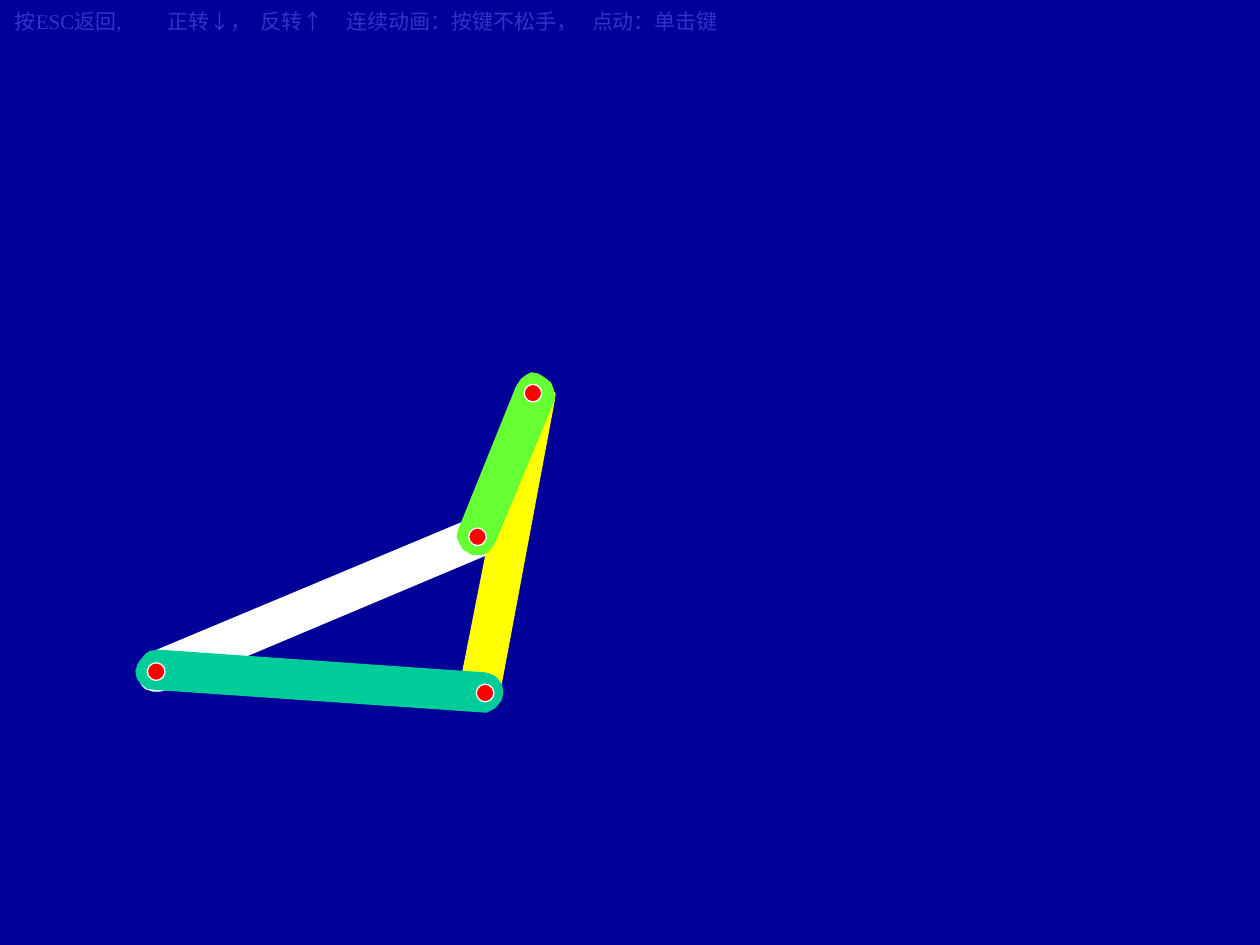
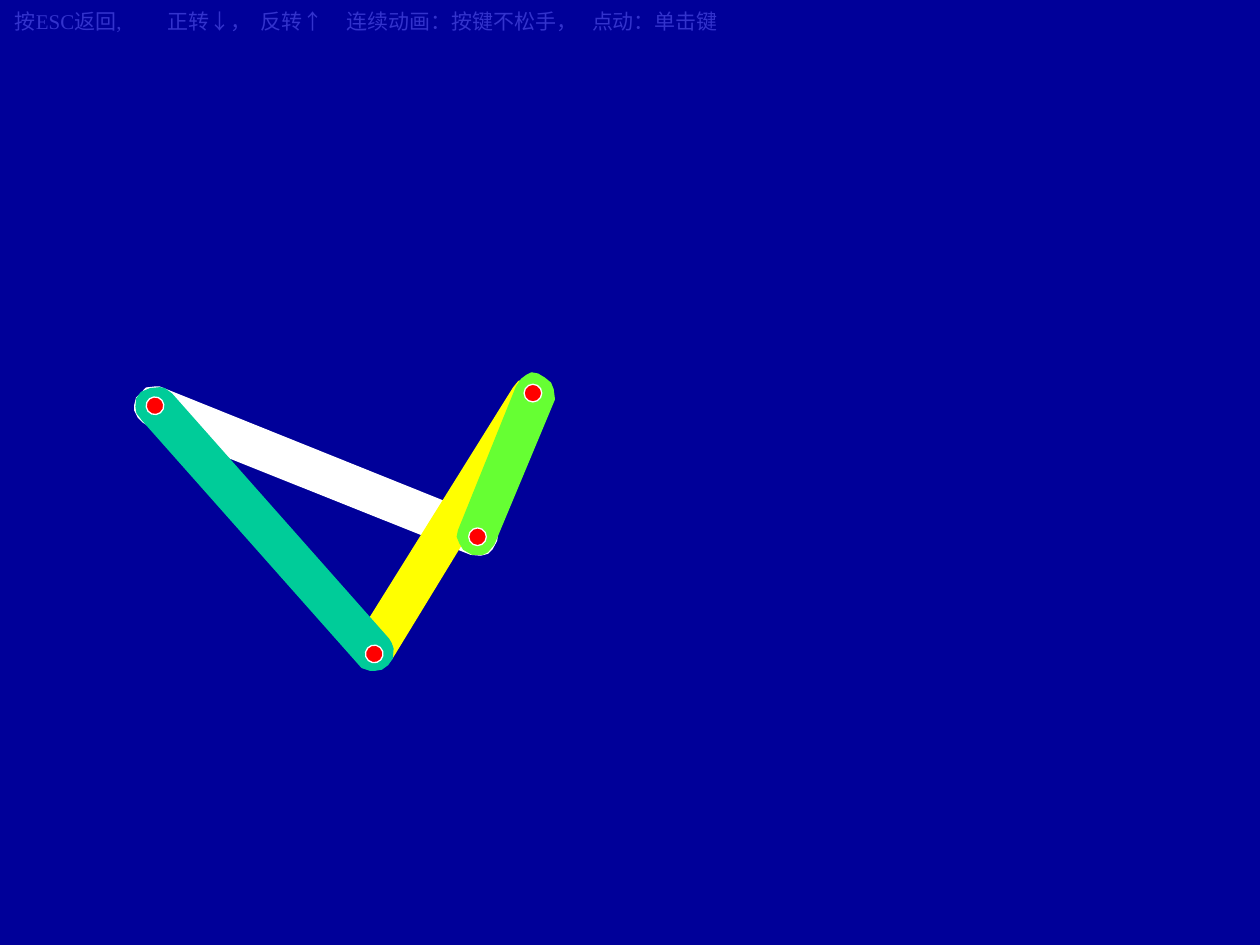
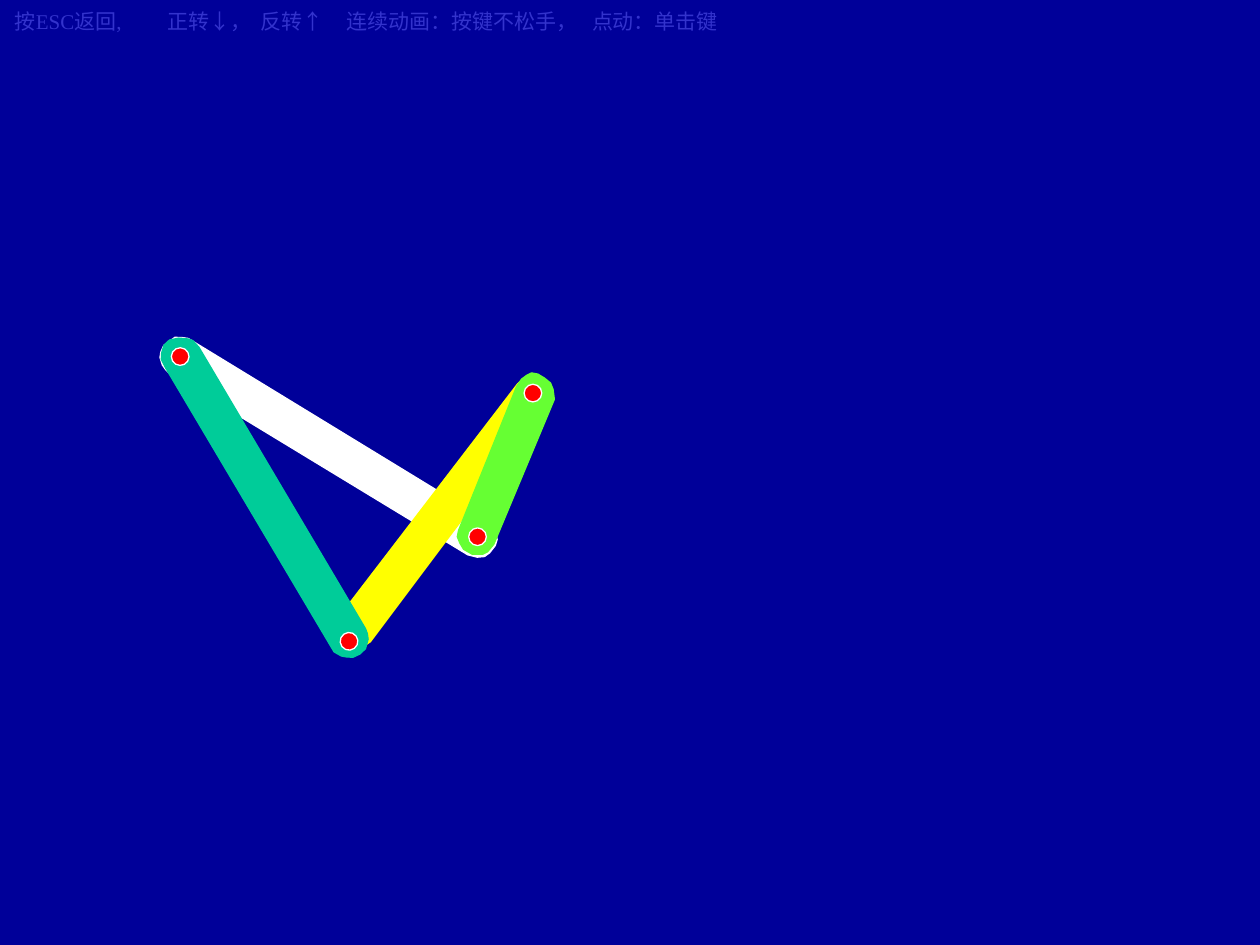
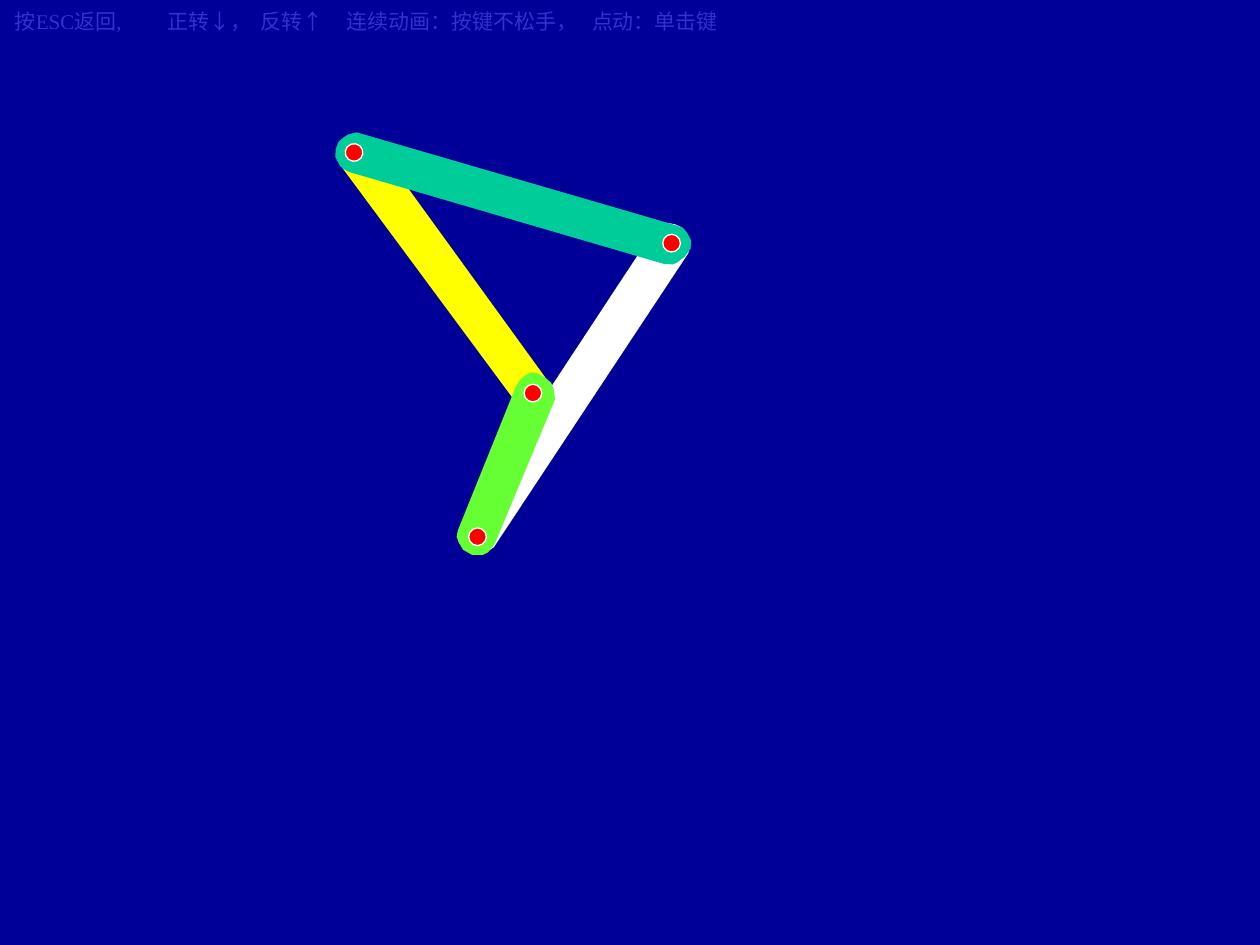
import math
from lxml import etree
from pptx import Presentation
from pptx import util as u
from pptx.dml.color import RGBColor
from pptx.enum import shapes, text
from pptx.oxml.ns import qn

COLORS = {"back": "000099", "hint": "3333CC", "pin": "FF0000", "rim": "FFFFFF",
          "rocker": "FFFFFF", "crank": "FFFF00", "coupler": "00CC99", "frame": "66FF33"}
INCH = 2.54  # cm; the mechanism is laid out on an inch grid
PIN = 0.14
HINT = "按ESC返回,\t正转↓，\t反转↑\t连续动画：按键不松手，\t点动：单击键"
HINT_TABS = [1.21, 1.95, 2.63, 4.58]

# Link outlines as they lie in the first pose
OUTLINES = {
    "rocker": [(3.85, 4.4), (1.31, 5.47), (1.26, 5.48), (1.21, 5.48), (1.15, 5.46), (1.12, 5.43),
               (1.09, 5.38), (1.09, 5.32), (1.09, 5.27), (1.13, 5.22), (1.16, 5.19), (3.74, 4.11),
               (3.83, 4.11), (3.89, 4.14), (3.92, 4.18), (3.94, 4.25), (3.94, 4.3), (3.91, 4.35)],
    "crank": [(4.4, 3.19), (3.97, 5.49), (3.93, 5.56), (3.89, 5.58), (3.82, 5.6), (3.77, 5.6),
              (3.71, 5.56), (3.67, 5.49), (3.66, 5.42), (4.11, 3.14), (4.13, 3.08), (4.17, 3.05),
              (4.22, 3.02), (4.3, 3.02), (4.36, 3.06), (4.41, 3.12)],
    "coupler": [(1.26, 5.16), (3.85, 5.34), (3.89, 5.35), (3.93, 5.37), (3.98, 5.43), (3.99, 5.49),
                (3.98, 5.55), (3.95, 5.59), (3.92, 5.62), (3.86, 5.65), (1.24, 5.47), (1.17, 5.46),
                (1.13, 5.43), (1.09, 5.38), (1.08, 5.32), (1.11, 5.25), (1.16, 5.19), (1.19, 5.17)],
    "frame": [(3.64, 4.21), (4.1, 3.07), (4.14, 3.01), (4.18, 2.98), (4.22, 2.96), (4.27, 2.97),
              (4.32, 3), (4.37, 3.04), (4.39, 3.09), (4.4, 3.17), (3.92, 4.32), (3.87, 4.38),
              (3.83, 4.4), (3.75, 4.4), (3.68, 4.36), (3.65, 4.31), (3.63, 4.26)],
}

# One pose per slide: left, top and angle of each link, then the two moving pins
POSES = [
    {"rocker": (0.98, 4.64, 157.2), "crank": (2.88, 3.57, 131.5), "coupler": (1.86, 4.07, 117.6),
     "pins": [(3.78, 5.43), (1.17, 5.26)]},
    {"rocker": (0.97, 3.58, 201.8), "crank": (2.44, 3.4, 152.3), "coupler": (1.42, 2.86, 162.1),
     "pins": [(2.9, 5.12), (1.16, 3.15)]},
    {"rocker": (1.07, 3.39, 211.3), "crank": (2.37, 3.32, 157.8), "coupler": (1.42, 2.61, 173),
     "pins": [(2.7, 5.02), (1.36, 2.76)]},
    {"rocker": (3.02, 2.93, 303.4), "crank": (2.37, 1.41, 264.4), "coupler": (3.39, 0.23, 309.9),
     "pins": [(2.74, 1.14), (5.26, 1.86)]},
]
FRAME_POSE = (3.63, 2.96, 0)
FRAME_PINS = [(3.72, 4.19), (4.16, 3.05)]


def add_part(parent, name, left, top, angle):
    """Add a link or a pin to a slide or group, in its own colour."""
    if name == "pin":
        sp = parent.add_shape(shapes.MSO_SHAPE.OVAL, u.Cm(left * INCH), u.Cm(top * INCH),
                              u.Cm(PIN * INCH), u.Cm(PIN * INCH))
    else:
        # Turn the outline back to its unrotated frame
        turn = math.radians(POSES[0].get(name, FRAME_POSE)[2])
        c, n = math.cos(turn), math.sin(turn)
        pts = [(u.Cm((x * c + y * n) * INCH), u.Cm((y * c - x * n) * INCH))
               for x, y in OUTLINES[name]]
        fb = parent.build_freeform(*pts[0])
        fb.add_line_segments(pts[1:], close=True)
        sp = fb.convert_to_shape()
        sp.left, sp.top = u.Cm(left * INCH), u.Cm(top * INCH)
    sp.rotation = angle
    sp.shadow.inherit = False
    sp.fill.solid()
    sp.fill.fore_color.rgb = RGBColor.from_string(COLORS[name])
    sp.line.color.rgb = RGBColor.from_string(COLORS["rim" if name == "pin" else name])
    sp.line.width = u.Pt(0.75)


def add_text(s, words, left, top, width, height, size, font, color, before, tabs):
    sp = s.shapes.add_textbox(*(u.Cm(v * INCH) for v in (left, top, width, height)))
    tf = sp.text_frame
    tf.word_wrap = True
    tf.auto_size = text.MSO_AUTO_SIZE.SHAPE_TO_FIT_TEXT
    p = tf.paragraphs[0]
    p.space_before = u.Pt(before)
    tab_list = etree.SubElement(p._p.get_or_add_pPr(), qn("a:tabLst"))
    for pos in tabs:
        etree.SubElement(tab_list, qn("a:tab"), pos=str(u.Cm(pos * INCH)), algn="l")
    r = p.add_run()
    r.text = words
    r.font.size = u.Pt(size)
    r.font.name = font
    r.font.color.rgb = RGBColor.from_string(color)


prs = Presentation()
prs.slide_width, prs.slide_height = u.Cm(25.4), u.Cm(19.05)

# Shared background
back = prs.slide_master.background.fill
back.solid()
back.fore_color.rgb = RGBColor.from_string(COLORS["back"])

for pose in POSES:
    s = prs.slides.add_slide(prs.slide_layouts[6])

    # Moving links and their pins
    for name in ("rocker", "crank", "coupler"):
        add_part(s.shapes, name, *pose[name])
    for (left, top), link in zip(pose["pins"], ("coupler", "rocker")):
        add_part(s.shapes, "pin", left, top, pose[link][2])

    # Fixed link with its pins
    group = s.shapes.add_group_shape()
    add_part(group.shapes, "frame", *FRAME_POSE)
    for left, top in FRAME_PINS:
        add_part(group.shapes, "pin", left, top, 0)

    # Key hints
    add_text(s, HINT, 0.02, 0.02, 6.49, 0.3, size=12, font="Times New Roman",
             color=COLORS["hint"], before=7.5, tabs=HINT_TABS)

prs.save("out.pptx")
